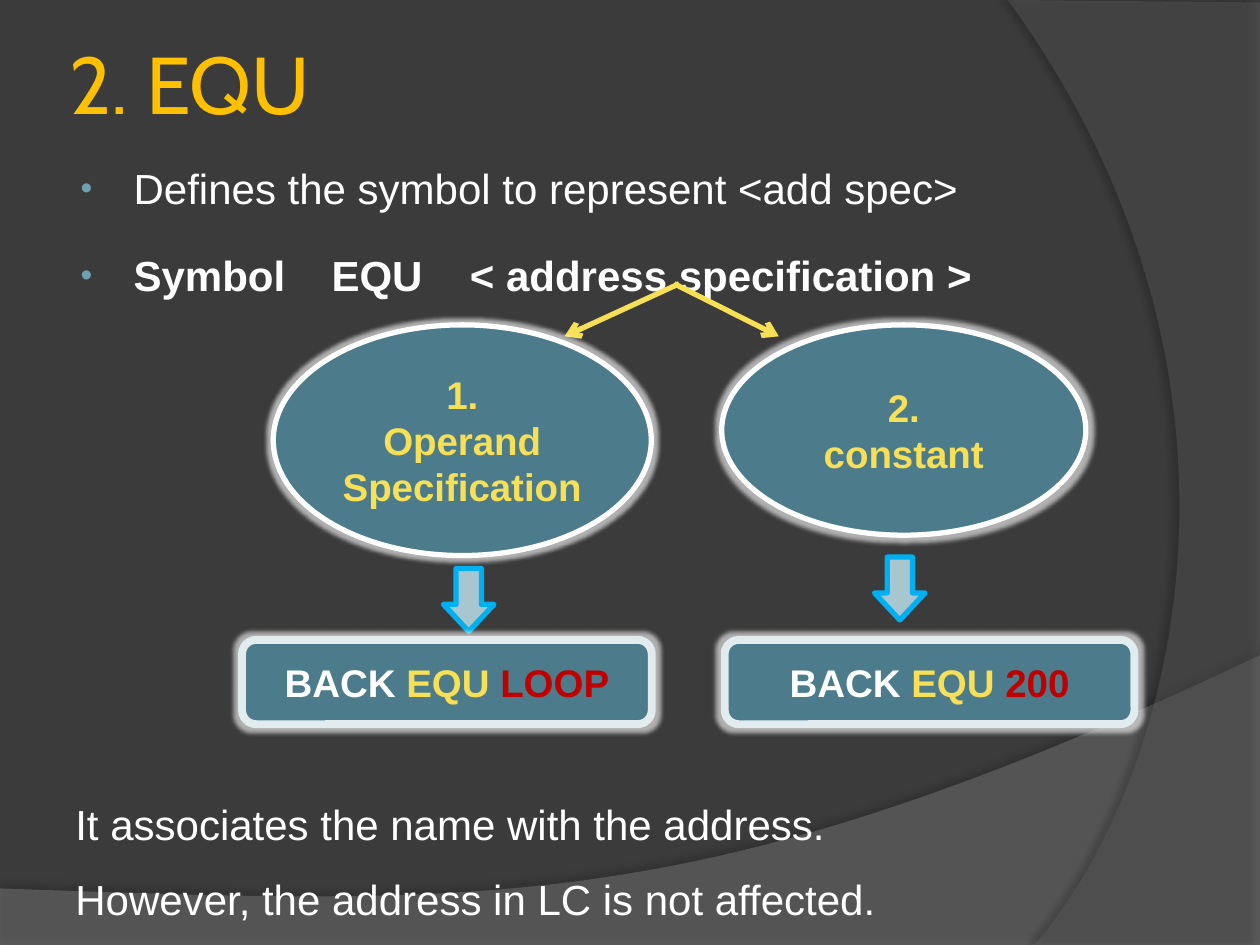
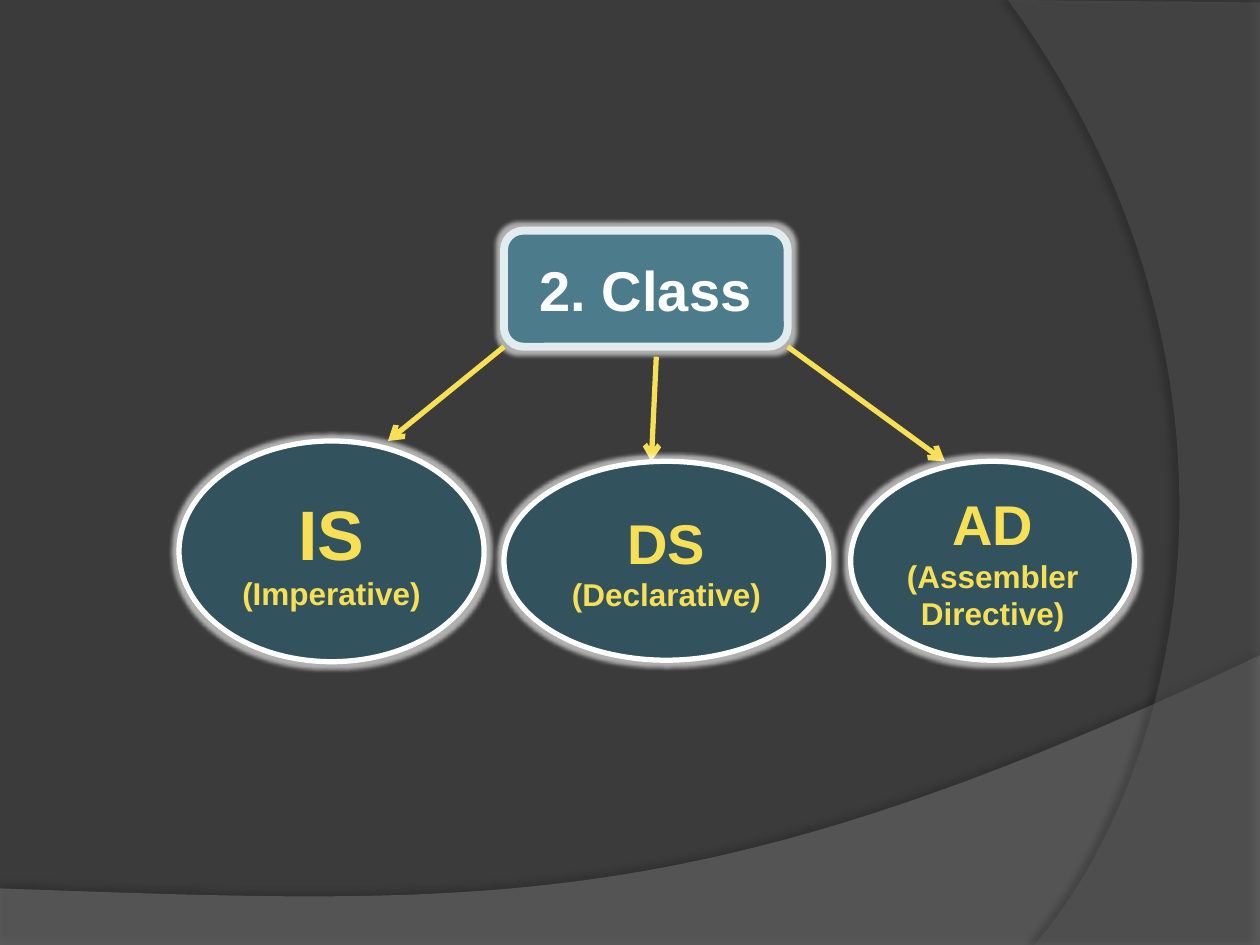
from lxml import etree
from pptx import Presentation
from pptx.dml.color import RGBColor
from pptx.enum import shapes, text
from pptx.oxml import parse_xml
from pptx.oxml.ns import nsdecls, qn
from pptx.util import Cm, Pt

COLORS = {
    "background": "3B3B3B", "wave": "7F7F7F", "arc": "5E5E5E",
    "title": "FFC000", "white": "FFFFFF", "yellow": "F7DF56",
    "red": "C00000", "bullet": "6EA0B0", "teal": "4C7C8B",
    "dark_teal": "32525D", "box_line": "E2ECEF",
    "arrow_fill": "A8C6D0", "arrow_line": "00B0F0",
}
FONT, TITLE_FONT = "Arial", "Cabin"
ALIGN, SHAPE = text.PP_ALIGN, shapes.MSO_SHAPE


def rgb(name):
    return RGBColor.from_string(COLORS[name])


def place(sp, box):
    sp.left, sp.top, sp.width, sp.height = map(Cm, box)


def add_effect(sp, effect):
    """Replace the effects of a shape with one effect, or with none."""
    spPr = sp.element.spPr
    for old in spPr.findall(qn("a:effectLst")):
        spPr.remove(old)
    spPr.append(parse_xml(f"<a:effectLst {nsdecls('a')}>{effect}</a:effectLst>"))


def add_glow(sp):
    add_effect(sp, f'<a:glow rad="{Pt(5)}"><a:srgbClr val="{COLORS["white"]}">'
                   '<a:alpha val="60000"/></a:srgbClr></a:glow>')


# Text
def format_run(r, size, color, bold=False, font=FONT):
    r.font.name, r.font.size, r.font.bold = font, Pt(size), bold
    r.font.color.rgb = rgb(color)


def write(tf, lines, align=ALIGN.CENTER, bold=True):
    """Each line is a list of (text, size, colour) runs."""
    tf.word_wrap = True
    tf.vertical_anchor = text.MSO_ANCHOR.MIDDLE
    for i, line in enumerate(lines):
        p = tf.paragraphs[0] if i == 0 else tf.add_paragraph()
        p.alignment = align
        for content, size, color in line:
            r = p.add_run()
            r.text = content
            format_run(r, size, color, bold)


def set_indent(p, left, first=0):
    pPr = p._p.get_or_add_pPr()
    pPr.set("marL", str(Cm(left)))
    pPr.set("indent", str(Cm(first)))
    return pPr


def add_bullet(p, tabs=()):
    pPr = set_indent(p, 1.17, -1.07)
    color = etree.SubElement(pPr, qn("a:buClr"))
    etree.SubElement(color, qn("a:srgbClr"), val=COLORS["bullet"])
    etree.SubElement(pPr, qn("a:buSzPct"), val="80000")
    etree.SubElement(pPr, qn("a:buFont"), typeface=FONT)
    etree.SubElement(pPr, qn("a:buChar"), char="•")
    if tabs:
        tab_list = etree.SubElement(pPr, qn("a:tabLst"))
        for pos in tabs:
            etree.SubElement(tab_list, qn("a:tab"), pos=str(Cm(pos)), algn="l")


def set_title(s, content):
    sp = s.shapes.title
    place(sp, (1.27, 0.76, 22.86, 1.78))
    tf = sp.text_frame
    tf.text = content
    tf.vertical_anchor = text.MSO_ANCHOR.MIDDLE
    tf.margin_left = tf.margin_right = tf.margin_top = tf.margin_bottom = Cm(0.13)
    p = tf.paragraphs[0]
    p.alignment = ALIGN.LEFT
    format_run(p.runs[0], 46, "title", font=TITLE_FONT)


def set_bullets(s, items):
    """Each item is (text, bold, tab stops)."""
    sp = s.placeholders[1]
    place(sp, (1.27, 2.64, 22.86, 4.01))
    tf = sp.text_frame
    tf.auto_size = text.MSO_AUTO_SIZE.NONE
    for i, (content, bold, tabs) in enumerate(items):
        p = tf.paragraphs[0] if i == 0 else tf.add_paragraph()
        p.text = content
        p.line_spacing = 1.5
        p.space_before = Pt(6.6 if i else 0)
        add_bullet(p, tabs)
        for r in p.runs:
            format_run(r, 24, "white", bold)


def add_note(s, box, lines):
    tf = s.shapes.add_textbox(*map(Cm, box)).text_frame
    write(tf, [[(line, 24, "white")] for line in lines], ALIGN.JUSTIFY, bold=False)
    for p in tf.paragraphs:
        p.line_spacing = 1.5
        set_indent(p, 1.27)


# Shapes
def add_shape(s, kind, box, fill, line, width=3):
    sp = s.shapes.add_shape(kind, *map(Cm, box))
    sp.shadow.inherit = False
    sp.fill.solid()
    sp.fill.fore_color.rgb = rgb(fill)
    sp.line.color.rgb = rgb(line)
    sp.line.width = Pt(width)
    return sp


def add_ellipse(s, box, fill, lines):
    sp = add_shape(s, SHAPE.OVAL, box, fill, "white")
    add_glow(sp)
    write(sp.text_frame, [[(content, size, "yellow")] for content, size in lines])


def add_box(s, box, runs):
    sp = add_shape(s, SHAPE.ROUNDED_RECTANGLE, box, "teal", "box_line", 4.5)
    add_glow(sp)
    write(sp.text_frame, [runs])


def add_down_arrow(s, left, top):
    sp = add_shape(s, SHAPE.DOWN_ARROW, (left, top, 1.02, 1.27),
                   "arrow_fill", "arrow_line")
    sp.adjustments[1] = 0.535


def add_arrow(s, start, end):
    c = s.shapes.add_connector(shapes.MSO_CONNECTOR.STRAIGHT,
                               *map(Cm, (*start, *end)))
    c.line.color.rgb = rgb("yellow")
    c.line.width = Pt(3)
    etree.SubElement(c.line._get_or_add_ln(), qn("a:tailEnd"), type="arrow")
    add_effect(c, "")


# Shared background
def curve(a, b, c, d, steps=60):
    """Points along a cubic curve."""
    for i in range(steps + 1):
        t = i / steps
        yield tuple((1 - t) ** 3 * a[k] + 3 * (1 - t) ** 2 * t * b[k]
                    + 3 * (1 - t) * t ** 2 * c[k] + t ** 3 * d[k] for k in (0, 1))


def add_band(prs, s, corners, bend, color, alpha, shadow):
    """Draw a curved band and move it to the master, below the placeholders."""
    start, *rest = [(Cm(x), Cm(y)) for x, y in [*corners, *curve(*bend)]]
    builder = s.shapes.build_freeform(*start)
    builder.add_line_segments(rest, close=True)
    sp = builder.convert_to_shape()
    sp.line.fill.background()
    sp.fill.solid()
    sp.fill.fore_color.rgb = rgb(color)
    clr = sp.element.spPr.find(qn("a:solidFill"))[0]
    etree.SubElement(clr, qn("a:alpha"), val=str(alpha * 1000))
    opacity, distance, angle = shadow
    add_effect(sp, f'<a:outerShdw blurRad="{Pt(4)}" dist="{Pt(distance)}" '
                   f'dir="{angle * 60000}" algn="ctr" rotWithShape="0">'
                   f'<a:srgbClr val="000000"><a:alpha val="{opacity * 1000}"/>'
                   '</a:srgbClr></a:outerShdw>')
    tree = prs.slide_master.shapes.element
    first = next(i for i, el in enumerate(tree) if el.find(
        f".//{qn('p:ph')}") is not None)
    tree.insert(first, sp.element)


def set_background(prs, s):
    fill = prs.slide_master.background.fill
    fill.solid()
    fill.fore_color.rgb = rgb("background")
    w, h = 25.4, 19.05
    add_band(prs, s, [(0, h), (w, h)],
             [(w, 13.21), (14.2, 18.52), (9.93, 18.26), (0, 17.91)],
             "wave", 45, (35, 3.5, 270))
    add_band(prs, s, [(w, 0.05), (w, h)],
             [(20.85, h), (23.75, 15.72), (25.86, 7.62), (20.32, 0)],
             "arc", 40, (45, 4, 180))


# Slides
def build_equ(s):
    set_title(s, "2. EQU")
    set_bullets(s, [
        ("Defines the symbol to represent <add spec>", False, ()),
        ("Symbol\tEQU\t< address specification >", True, (5.16, 7.95)),
    ])
    add_arrow(s, (13.59, 5.72), (15.7, 6.78))
    add_arrow(s, (13.69, 5.72), (11.38, 6.78))
    add_ellipse(s, (14.55, 6.55, 7.34, 4.24), "teal", [("2.", 22), ("constant", 22)])
    add_ellipse(s, (5.51, 6.55, 7.62, 4.65), "teal",
                [("1.", 22), ("Operand Specification", 22)])
    add_down_arrow(s, 8.94, 11.46)
    add_down_arrow(s, 17.63, 11.23)
    for left, operand in ((4.88, "LOOP"), (14.61, "200")):
        add_box(s, (left, 12.9, 8.26, 1.7),
                [("BACK ", 22, "white"), ("EQU ", 22, "yellow"), (operand, 22, "red")])
    add_note(s, (0, 15.44, 18.08, 3.33), [
        "It associates the name with the address.",
        "However, the address in LC is not affected.",
    ])


def build_classes(s):
    add_box(s, (10.16, 4.65, 5.72, 2.34), [("2. Class", 32, "white")])
    for start, end in (((15.88, 6.99), (19.05, 9.3)),
                       ((10.16, 6.99), (7.82, 8.89)),
                       ((13.23, 7.19), (13.13, 9.3))):
        add_arrow(s, start, end)
    for box, short, size, full in (
            ((3.61, 8.89, 6.15, 4.45), "IS", 40, "(Imperative)"),
            ((10.16, 9.3, 6.55, 4.01), "DS", 32, "(Declarative)"),
            ((17.15, 9.3, 5.72, 4.01), "AD", 32, "(Assembler Directive)")):
        add_ellipse(s, box, "dark_teal", [(short, size), (full, 18)])


def main():
    prs = Presentation()
    prs.slide_width, prs.slide_height = Cm(25.4), Cm(19.05)
    equ = prs.slides.add_slide(prs.slide_layouts[1])
    classes = prs.slides.add_slide(prs.slide_layouts[6])
    set_background(prs, equ)
    build_equ(equ)
    build_classes(classes)
    prs.save("out.pptx")


if __name__ == "__main__":
    main()
